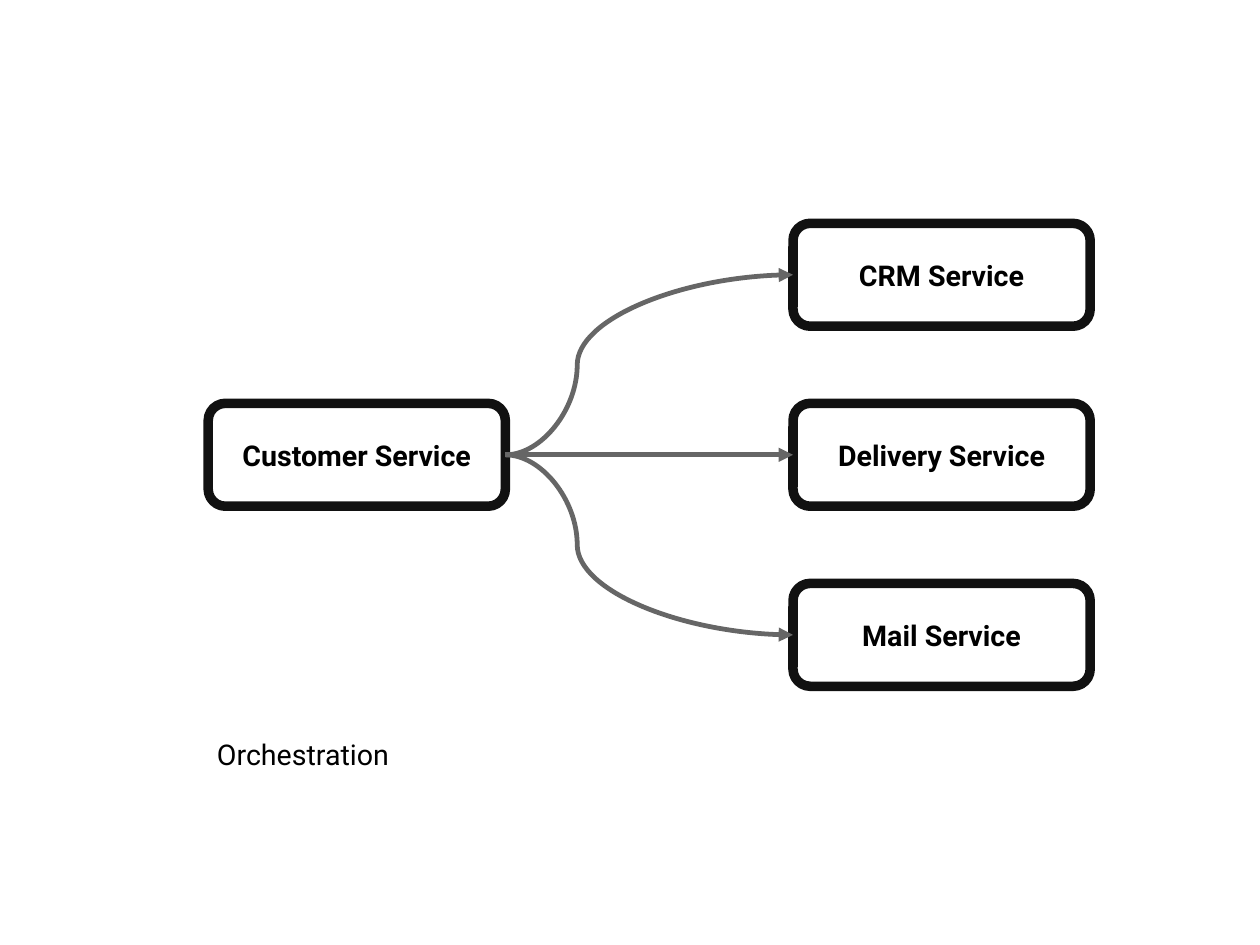
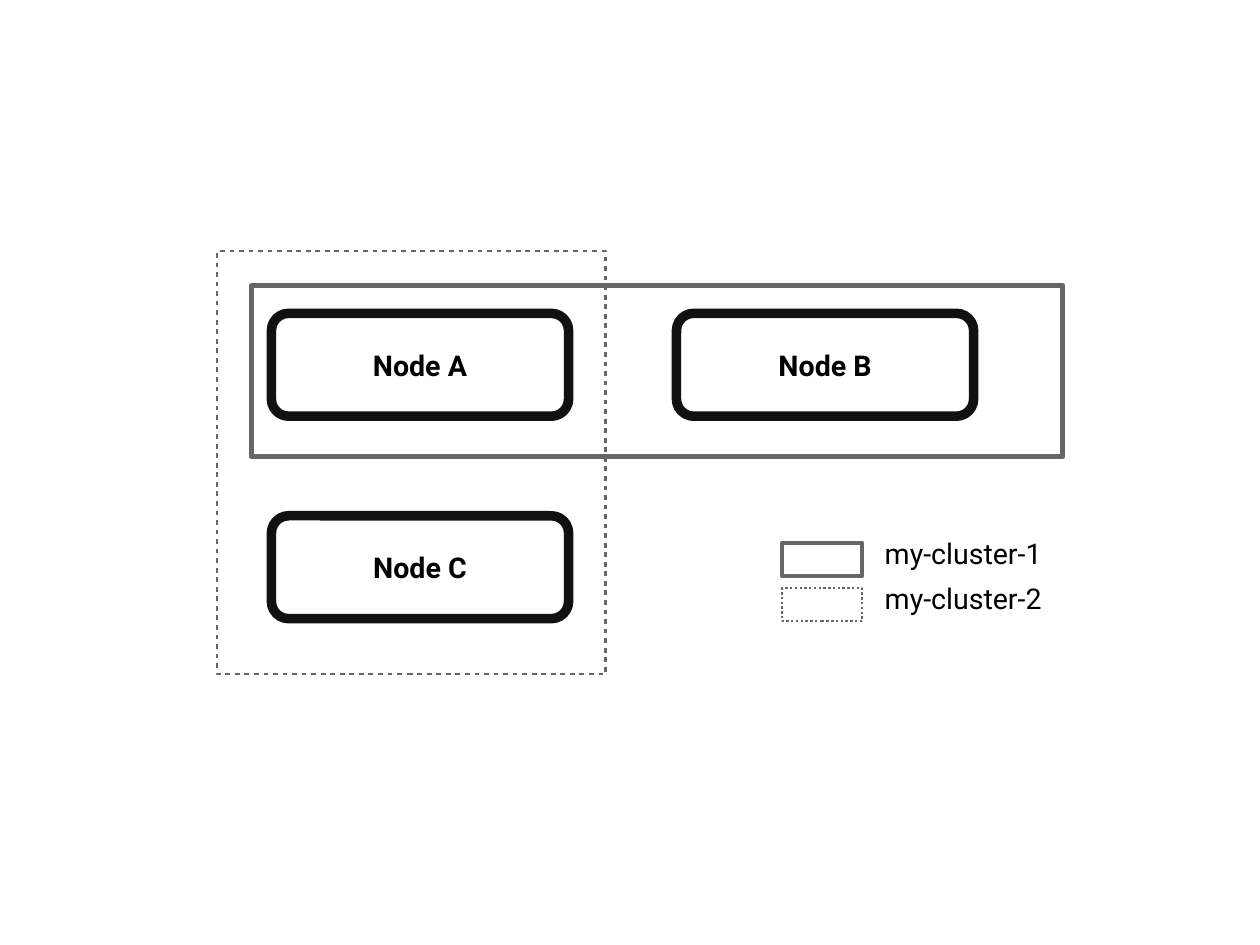
from lxml.etree import SubElement
from pptx import Presentation
from pptx.dml.color import RGBColor
from pptx.enum.shapes import MSO_CONNECTOR, MSO_SHAPE
from pptx.enum.text import MSO_ANCHOR, MSO_AUTO_SIZE, PP_ALIGN
from pptx.oxml.ns import qn
from pptx.util import Pt

FONT, TEXT_SIZE = "Roboto", 18
BLACK, WHITE, NODE_EDGE, GREY = "000000", "FFFFFF", "111111", "666666"
NODE_WIDTH, NODE_HEIGHT = 187.2, 64.8
LEFT_SITE, RIGHT_SITE = 1, 3


def color(value):
    return RGBColor.from_string(value)


def points(*lengths):
    return [Pt(length) for length in lengths]


def add_run(paragraph, text, bold=False):
    run = paragraph.add_run()
    run.text = text
    run.font.name = FONT
    run.font.size = Pt(TEXT_SIZE)
    run.font.bold = bold
    run.font.color.rgb = color(BLACK)


def add_label(slide, text, left, top, width):
    label = slide.shapes.add_textbox(*points(left, top, width, 32.4))
    frame = label.text_frame
    frame.word_wrap = True
    frame.auto_size = MSO_AUTO_SIZE.SHAPE_TO_FIT_TEXT
    add_run(frame.paragraphs[0], text)


def add_outline(slide, kind, box, line_color, line_width, dash=0):
    """Dash and gap are both dash times the line width; 0 is a solid line."""
    shape = slide.shapes.add_shape(kind, *points(*box))
    shape.shadow.inherit = False
    shape.fill.background()
    shape.line.color.rgb = color(line_color)
    shape.line.width = Pt(line_width)
    if dash:
        length = str(dash * 100000)
        pattern = SubElement(shape.line._get_or_add_ln(), qn("a:custDash"))
        SubElement(pattern, qn("a:ds"), d=length, sp=length)
    return shape


def add_node(slide, text, left, top):
    node = add_outline(slide, MSO_SHAPE.ROUNDED_RECTANGLE,
                       (left, top, NODE_WIDTH, NODE_HEIGHT), NODE_EDGE, 6)
    node.adjustments[0] = 0.167
    node.fill.solid()
    node.fill.fore_color.rgb = color(WHITE)
    frame = node.text_frame
    frame.word_wrap = False
    frame.vertical_anchor = MSO_ANCHOR.MIDDLE
    frame.margin_left = frame.margin_right = Pt(10)
    frame.margin_top = frame.margin_bottom = Pt(6.5)
    paragraph = frame.paragraphs[0]
    paragraph.alignment = PP_ALIGN.CENTER
    add_run(paragraph, text, bold=True)
    return node


def add_arrow(slide, source, target):
    straight = source.top == target.top
    kind = MSO_CONNECTOR.STRAIGHT if straight else MSO_CONNECTOR.CURVE
    arrow = slide.shapes.add_connector(kind, 0, 0, 0, 0)
    arrow.begin_connect(source, RIGHT_SITE)
    arrow.end_connect(target, LEFT_SITE)
    arrow.line.color.rgb = color(GREY)
    arrow.line.width = Pt(3)
    # Arrowhead, no shadow, and a bend a quarter of the way along
    properties = arrow.element.spPr
    SubElement(arrow.line._get_or_add_ln(), qn("a:tailEnd"), type="triangle")
    SubElement(properties, qn("a:effectLst"))
    if not straight:
        guides = properties.find(qn("a:prstGeom")).find(qn("a:avLst"))
        SubElement(guides, qn("a:gd"), name="adj1", fmla="val 25000")


def add_orchestration(slide, left, top):
    # One caller on the left, its services in a column on the right
    pitch = 113.4
    caller = add_node(slide, "Customer Service", left, top + pitch)
    services = [add_node(slide, name, left + 368.4, top + row * pitch)
                for row, name in enumerate(
                    ("CRM Service", "Delivery Service", "Mail Service"))]
    for service in services:
        add_arrow(slide, caller, service)
    add_label(slide, "Orchestration", left - 1.6, top + 319.7, NODE_WIDTH)


def add_clusters(slide, left, top):
    # Nodes on a grid, with one frame round the column and one round the row
    for name, column, row in (("Node A", 0, 0), ("Node B", 1, 0), ("Node C", 0, 1)):
        add_node(slide, name, left + 34.2 + column * 255.2, top + 39.2 + row * 127.5)
    add_outline(slide, MSO_SHAPE.RECTANGLE, (left, top, 244.8, 266.4), GREY, 1.5, 2)
    add_outline(slide, MSO_SHAPE.RECTANGLE,
                (left + 21.6, top + 21.6, 511.2, 108), GREY, 3)


def add_legend(slide, left, top):
    entries = (("my-cluster-1", 3, 0), ("my-cluster-2", 1.5, 1))
    for row, (name, line_width, dash) in enumerate(entries):
        row_top = top + row * 28.5
        add_outline(slide, MSO_SHAPE.RECTANGLE, (left, row_top + 8.2, 50.4, 20.9),
                    GREY, line_width, dash)
        add_label(slide, name, left + 57.6, row_top, 122.4)


presentation = Presentation()
presentation.slide_width, presentation.slide_height = points(793.75, 595.25)
blank_layout = presentation.slide_layouts[6]

orchestration_slide = presentation.slides.add_slide(blank_layout)
add_orchestration(orchestration_slide, 131.2, 140.7)

cluster_slide = presentation.slides.add_slide(blank_layout)
add_clusters(cluster_slide, 136.8, 158.2)
add_legend(cluster_slide, 492.7, 333.8)

presentation.save("out.pptx")
